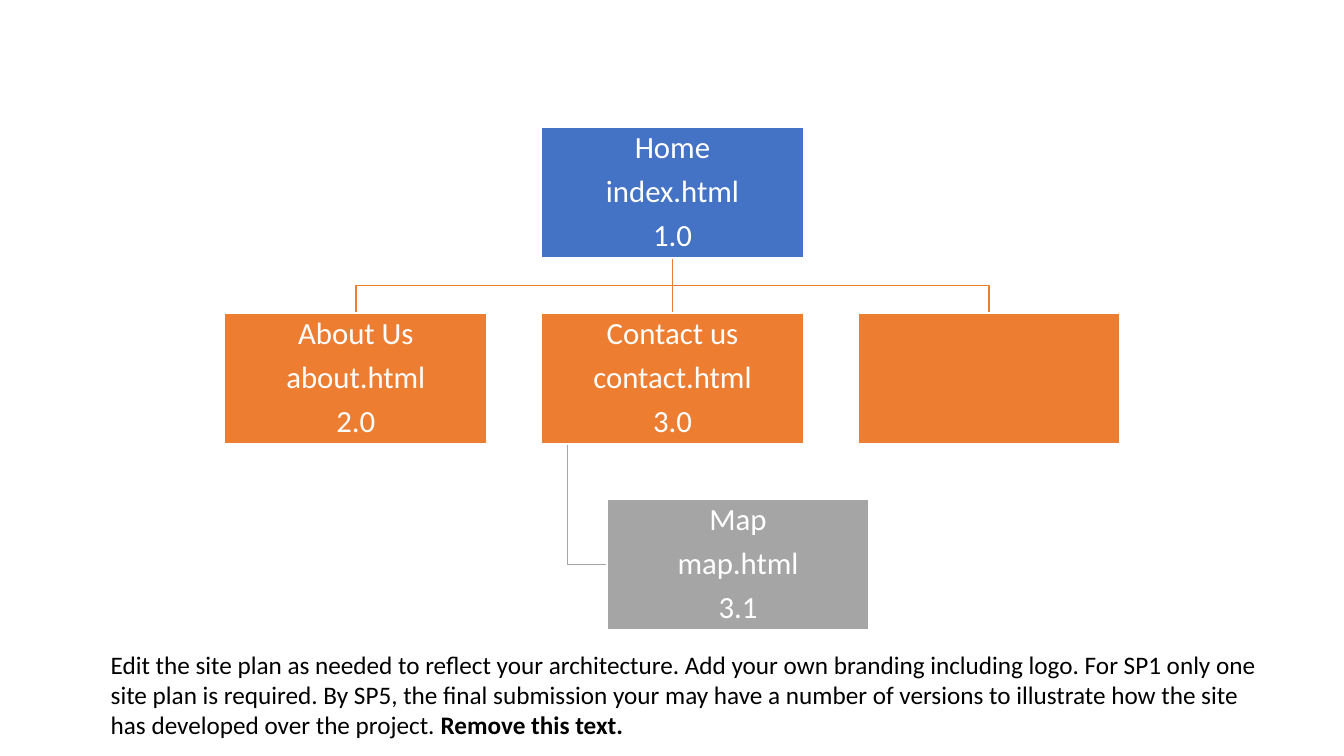
from lxml import etree
from pptx import Presentation
from pptx.dml.color import RGBColor
from pptx.enum.shapes import MSO_CONNECTOR, MSO_SHAPE
from pptx.enum.text import MSO_ANCHOR, PP_ALIGN
from pptx.oxml.ns import qn
from pptx.util import Inches, Pt

RECT = MSO_SHAPE.RECTANGLE
STRAIGHT = MSO_CONNECTOR.STRAIGHT
MIDDLE = MSO_ANCHOR.MIDDLE
CENTER = PP_ALIGN.CENTER

COLORS = {"home": "4472C4", "page": "ED7D31", "sub": "A5A5A5",
          "white": "FFFFFF", "black": "000000"}
FONT = "Calibri"

# Tree grid in inches: cards sit on rows and columns of equal step
WIDE, HIGH = 2.6, 1.3
LEFT, STEP = 2.23, 3.14
TOP, DROP = 1.26, 1.845
cols = [LEFT + STEP * i for i in range(3)]
rows = [TOP + DROP * i for i in range(3)]
sub_left = cols[1] + WIDE / 4


def color(name):
    """Return the named colour."""
    return RGBColor.from_string(COLORS[name])


def style(font, size, name):
    """Set the face, size and colour of a font."""
    font.name = FONT
    font.size = Pt(size)
    font.color.rgb = color(name)


prs = Presentation()
prs.slide_width, prs.slide_height = Inches(13.33), Inches(7.5)
slide = prs.slides.add_slide(prs.slide_layouts[6])
shapes = slide.shapes

# Branches: elbows to the outer pages and the sub page
mid = cols[1] + WIDE / 2
base = rows[0] + HIGH
bend = (base + rows[1]) / 2
stem = cols[1] + WIDE / 10
sub_mid = rows[2] + HIGH / 2
elbows = [("sub", [(stem, rows[1] + HIGH), (stem, sub_mid),
                   (sub_left, sub_mid)])]
for col in (cols[0], cols[2]):
    end = col + WIDE / 2
    elbows.append(("page", [(mid, base), (mid, bend), (end, bend),
                            (end, rows[1])]))
for name, points in elbows:
    dots = [(Inches(x), Inches(y)) for x, y in points]
    pen = shapes.build_freeform(*dots[0])
    pen.add_line_segments(dots[1:], close=False)
    elbow = pen.convert_to_shape()
    elbow.shadow.inherit = False
    elbow.fill.background()
    elbow.line.color.rgb = color(name)
    elbow.line.width = Pt(1)

trunk = shapes.add_connector(STRAIGHT, Inches(mid), Inches(base),
                             Inches(mid), Inches(rows[1]))
trunk.line.color.rgb = color("page")
trunk.line.width = Pt(1)
etree.SubElement(trunk._element.spPr, qn("a:effectLst"))

# Page cards
cards = [
    (cols[1], rows[0], "home", "Home\nindex.html\n1.0"),
    (cols[0], rows[1], "page", "About Us\nabout.html\n2.0"),
    (cols[1], rows[1], "page", "Contact us\ncontact.html\n3.0"),
    (sub_left, rows[2], "sub", "Map\nmap.html\n3.1"),
    (cols[2], rows[1], "page", ""),
]
for left, top, name, label in cards:
    card = shapes.add_shape(RECT, Inches(left), Inches(top),
                            Inches(WIDE), Inches(HIGH))
    card.shadow.inherit = False
    card.fill.solid()
    card.fill.fore_color.rgb = color(name)
    card.line.color.rgb = color("white")
    card.line.width = Pt(1)
    if not label:
        continue
    frame = card.text_frame
    frame.margin_left = frame.margin_right = Inches(0.02)
    frame.margin_top = frame.margin_bottom = Inches(0.02)
    frame.vertical_anchor = MIDDLE
    frame.word_wrap = True
    frame.text = label
    for para in frame.paragraphs:
        para.alignment = CENTER
        para.line_spacing = 0.9
        para.space_after = Pt(7.5)
        style(para.runs[0].font, 22, "white")

# Instruction below the tree
note = shapes.add_textbox(Inches(1), Inches(6.39), Inches(11.63), Inches(1.01))
note.text_frame.word_wrap = True
para = note.text_frame.paragraphs[0]
para.text = (
    "Edit the site plan as needed to reflect your architecture. Add your own "
    "branding including logo. For SP1 only one site plan is required. By SP5, "
    "the final submission your may have a number of versions to illustrate "
    "how the site has developed over the project. ")
para.add_run().text = "Remove this text."
for run in para.runs:
    style(run.font, 18, "black")
para.runs[-1].font.bold = True

prs.save("out.pptx")
